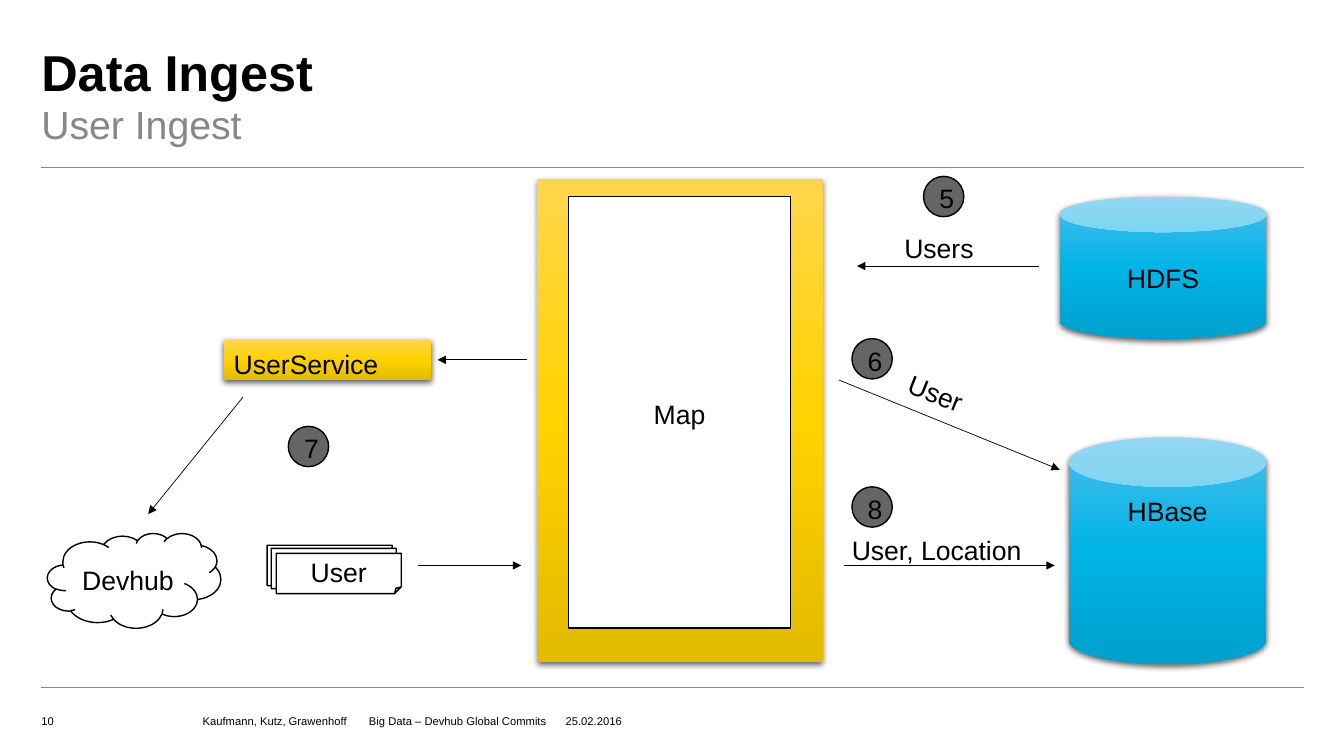
from copy import deepcopy
from dataclasses import dataclass

from pptx import Presentation
from pptx.dml.color import RGBColor
from pptx.enum.shapes import MSO_CONNECTOR as Connector, MSO_SHAPE as Preset
from pptx.enum.text import MSO_ANCHOR as Anchor, MSO_AUTO_SIZE as AutoSize, PP_ALIGN as Align
from pptx.oxml import parse_xml
from pptx.oxml.ns import nsdecls, qn
from pptx.shapes.autoshape import Shape
from pptx.slide import Slide
from pptx.util import Inches, Pt


@dataclass(frozen=True)
class Theme:
    font: str = "Arial"
    black: str = "000000"
    white: str = "FFFFFF"
    grey: str = "878787"
    badge: str = "656565"
    yellow: tuple[str, ...] = ("FFD64B", "FFD200", "E3BB00")
    blue: tuple[str, ...] = ("4BBDEC", "00B4E6", "00A0CC")
    title: float = 36
    subtitle: float = 28
    label: float = 19
    footer: float = 8
    outline: float = 1
    hairline: float = 0.5
    spacing: float = 1.1


THEME = Theme()


@dataclass(frozen=True)
class Frame:
    left: float
    top: float
    width: float
    height: float

    def lengths(self) -> list[Inches]:
        return [Inches(side) for side in (self.left, self.top, self.width, self.height)]


@dataclass(frozen=True)
class Node:
    preset: Preset
    frame: Frame
    fill: str | tuple[str, ...] = THEME.white
    text: str = ""
    align: Align = Align.CENTER
    anchor: Anchor = Anchor.MIDDLE


@dataclass(frozen=True)
class Line:
    start: tuple[float, float]
    end: tuple[float, float]
    color: str = THEME.black
    arrow: bool = True


@dataclass(frozen=True)
class Label:
    text: str
    frame: Frame
    rotation: float = 0


@dataclass(frozen=True)
class Caption:
    text: str
    frame: Frame
    size: float
    color: str = THEME.black
    bold: bool = False
    spacing: float | None = None
    anchor: Anchor = Anchor.TOP
    tabs: tuple[float, ...] = ()


def badge(number: int, left: float, top: float) -> Node:
    return Node(Preset.OVAL, Frame(left, top, 0.4, 0.4), THEME.badge, str(number))


def card(left: float, top: float, text: str = "") -> Node:
    return Node(Preset.FOLDED_CORNER, Frame(left, top, 1.24, 0.4), text=text)


CAPTIONS = [
    Caption("Data Ingest", Frame(0.41, 0.41, 9.65, 0.62), THEME.title, bold=True),
    Caption("User Ingest", Frame(0.41, 0.95, 9.65, 0.55), THEME.subtitle, THEME.grey,
            spacing=THEME.spacing),
    Caption("10", Frame(0.41, 6.9, 1.57, 0.32), THEME.footer, anchor=Anchor.BOTTOM),
    Caption("Kaufmann, Kutz, Grawenhoff\tBig Data – Devhub Global Commits\t25.02.2016",
            Frame(2.01, 6.9, 10.24, 0.32), THEME.footer, anchor=Anchor.BOTTOM, tabs=(1.65, 3.6)),
]

NODES = [
    Node(Preset.CLOUD, Frame(0.47, 5.29, 1.72, 0.94), text="Devhub"),
    Node(Preset.RECTANGLE, Frame(5.33, 1.78, 2.83, 4.79), THEME.yellow),
    Node(Preset.RECTANGLE, Frame(5.64, 1.95, 2.2, 4.28), text="Map"),
    Node(Preset.RECTANGLE, Frame(2.22, 3.37, 2.06, 0.4), THEME.yellow, "UserService",
         Align.LEFT, Anchor.TOP),
    Node(Preset.CAN, Frame(10.51, 1.95, 2.05, 1.41), THEME.blue, "HDFS"),
    Node(Preset.CAN, Frame(10.6, 4.34, 1.96, 2.25), THEME.blue, "HBase", anchor=Anchor.TOP),
    card(2.65, 5.41),
    card(2.69, 5.44),
    card(2.74, 5.49, "User"),
    badge(5, 9.16, 1.75),
    badge(6, 8.45, 3.36),
    badge(7, 2.86, 4.23),
    badge(8, 8.45, 4.83),
]

LINES = [
    Line((0.41, 1.66), (12.93, 1.66), THEME.grey, arrow=False),
    Line((0.41, 6.82), (12.93, 6.82), THEME.grey, arrow=False),
    Line((10.31, 2.64), (8.5, 2.64)),
    Line((8.32, 3.77), (10.51, 4.66)),
    Line((8.37, 5.61), (10.46, 5.61)),
    Line((5.23, 3.57), (4.34, 3.57)),
    Line((2.41, 3.94), (1.47, 5.1)),
    Line((4.15, 5.61), (5.17, 5.61)),
]

LABELS = [
    Label("Users", Frame(8.87, 2.22, 0.98, 0.45)),
    Label("User", Frame(8.85, 3.97, 2.44, 0.45), 21.7),
    Label("User, Location", Frame(8.35, 5.22, 2.44, 0.45)),
]


def write(box: Shape, text: str, size: float, color: str = THEME.black, bold: bool = False,
          spacing: float | None = THEME.spacing, align: Align = Align.LEFT) -> None:
    box.text_frame.word_wrap = True
    para = box.text_frame.paragraphs[0]
    para.alignment = align
    para.line_spacing = spacing
    span = para.add_run()
    span.text = text
    span.font.name = THEME.font
    span.font.size = Pt(size)
    span.font.bold = bold
    span.font.color.rgb = RGBColor.from_string(color)


def fill_gradient(shape: Shape, colors: tuple[str, ...]) -> None:
    shape.fill.gradient()
    shape.fill.gradient_angle = 270
    stop_list = shape.element.spPr.find(".//" + qn("a:gsLst"))
    stop_list.append(deepcopy(stop_list[0]))
    for index, (stop, color) in enumerate(zip(shape.fill.gradient_stops, colors)):
        stop.position = index / (len(colors) - 1)
        stop.color.rgb = RGBColor.from_string(color)


def cast_shadow(shape: Shape) -> None:
    effects = shape.element.spPr.find(qn("a:effectLst"))
    effects.append(parse_xml(
        f'<a:outerShdw {nsdecls("a")} blurRad="{Pt(4.5)}" dist="{Pt(1.5)}" dir="5400000" '
        f'rotWithShape="0"><a:srgbClr val="{THEME.black}"><a:alpha val="63000"/>'
        '</a:srgbClr></a:outerShdw>'))


def draw_node(page: Slide, node: Node) -> None:
    shape = page.shapes.add_shape(node.preset, *node.frame.lengths())
    shape.shadow.inherit = False
    if isinstance(node.fill, tuple):
        fill_gradient(shape, node.fill)
        shape.line.fill.background()
        cast_shadow(shape)
    else:
        shape.fill.solid()
        shape.fill.fore_color.rgb = RGBColor.from_string(node.fill)
        shape.line.color.rgb = RGBColor.from_string(THEME.black)
        shape.line.width = Pt(THEME.outline)
    if node.text:
        shape.text_frame.vertical_anchor = node.anchor
        write(shape, node.text, THEME.label, align=node.align)


def draw_line(page: Slide, line: Line) -> None:
    ends = [Inches(value) for value in line.start + line.end]
    connector = page.shapes.add_connector(Connector.STRAIGHT, *ends)
    connector.line.color.rgb = RGBColor.from_string(line.color)
    connector.line.width = Pt(THEME.hairline)
    if line.arrow:
        connector.line._get_or_add_ln().append(
            parse_xml(f'<a:tailEnd {nsdecls("a")} type="triangle"/>'))
    connector._element.spPr.append(parse_xml(f'<a:effectLst {nsdecls("a")}/>'))


def draw_label(page: Slide, label: Label) -> None:
    box = page.shapes.add_textbox(*label.frame.lengths())
    box.rotation = label.rotation
    write(box, label.text, THEME.label)
    box.text_frame.auto_size = AutoSize.SHAPE_TO_FIT_TEXT


def draw_caption(page: Slide, caption: Caption) -> None:
    box = page.shapes.add_textbox(*caption.frame.lengths())
    frame = box.text_frame
    frame.margin_left = frame.margin_top = frame.margin_right = frame.margin_bottom = 0
    frame.vertical_anchor = caption.anchor
    if caption.tabs:
        stops = "".join(f'<a:tab pos="{Inches(tab)}" algn="l"/>' for tab in caption.tabs)
        frame.paragraphs[0]._p.get_or_add_pPr().append(
            parse_xml(f'<a:tabLst {nsdecls("a")}>{stops}</a:tabLst>'))
    write(box, caption.text, caption.size, caption.color, caption.bold, caption.spacing)


def main() -> None:
    deck = Presentation()
    deck.slide_width, deck.slide_height = Inches(13.33), Inches(7.5)
    page = deck.slides.add_slide(deck.slide_layouts[6])
    for draw, items in ((draw_caption, CAPTIONS), (draw_node, NODES),
                        (draw_line, LINES), (draw_label, LABELS)):
        for item in items:
            draw(page, item)
    deck.save("out.pptx")


if __name__ == "__main__":
    main()
